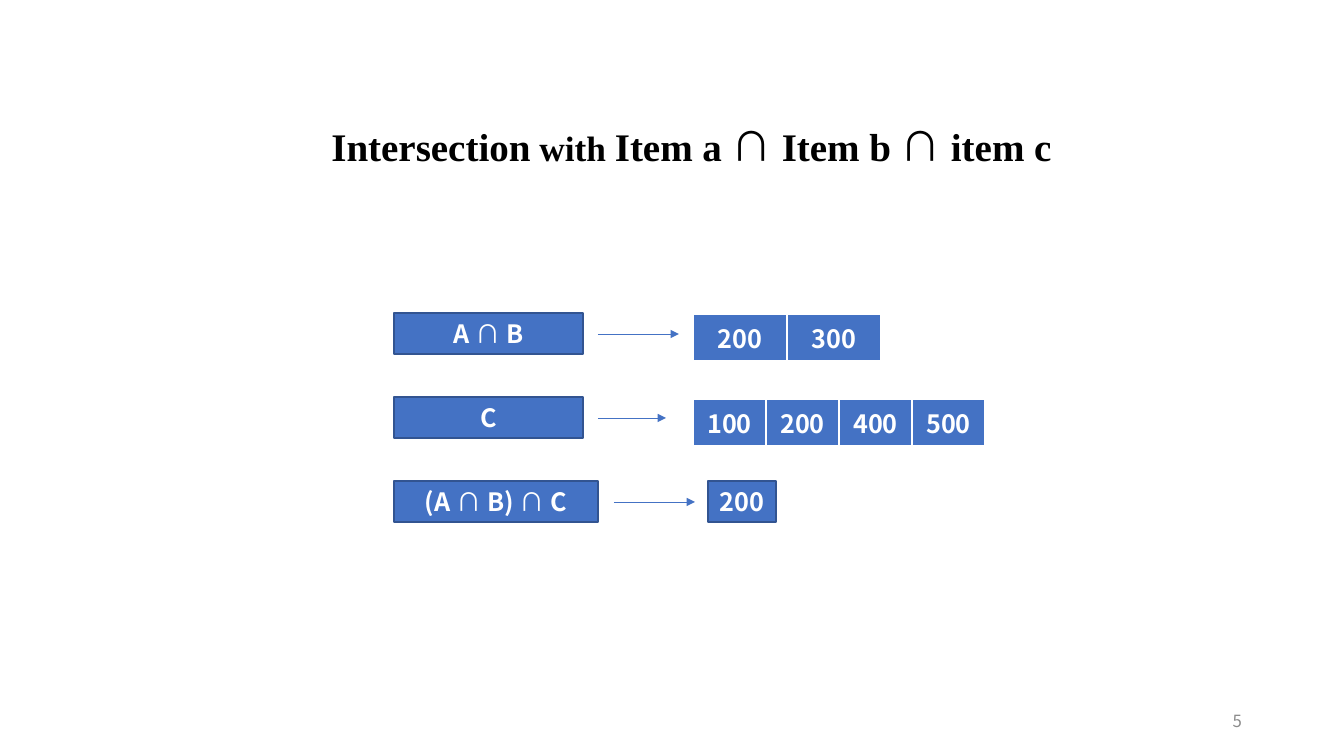
from lxml.etree import SubElement
from pptx import Presentation
from pptx.dml.color import RGBColor
from pptx.enum.shapes import MSO_CONNECTOR, MSO_SHAPE
from pptx.enum.text import MSO_ANCHOR, MSO_AUTO_SIZE, PP_ALIGN
from pptx.oxml.ns import qn
from pptx.util import Emu, Pt

SCALE = 914400 / 100.8
SANS, SERIF = "Noto Sans CJK KR", "Times New Roman"
COLORS = {"fill": "4472C4", "edge": "325491", "white": "FFFFFF",
          "black": "000000", "number": "8C8C8C"}


def px(*lengths):
    """Turn whole pixels into a list of EMU lengths."""
    return [Emu(round(length * SCALE)) for length in lengths]


def write(text_frame, runs, color, alignment=PP_ALIGN.CENTER):
    """Fill the first paragraph with (text, size, font, bold) runs."""
    text_frame.word_wrap = True
    text_frame.vertical_anchor = MSO_ANCHOR.MIDDLE
    paragraph = text_frame.paragraphs[0]
    paragraph.alignment = alignment
    for text, size, name, bold in runs:
        run = paragraph.add_run()
        run.text = text
        font_format = {"size": Pt(size), "name": name, "bold": bold}
        for attribute, value in font_format.items():
            setattr(run.font, attribute, value)
        run.font.color.rgb = RGBColor.from_string(COLORS[color])
        SubElement(run.font._element, qn("a:ea"), typeface=name)
    return paragraph


presentation = Presentation()
presentation.slide_width, presentation.slide_height = px(1344, 756)
slide = presentation.slides.add_slide(presentation.slide_layouts[5])

# Title
title = slide.shapes.title
title.left, title.top, title.width, title.height = px(295, 126, 793, 44)
title.text_frame.auto_size = MSO_AUTO_SIZE.NONE
title_runs = [
    ("Intersection", 27.9, SERIF, True),
    (" with ", 25.2, SERIF, True),
    ("Item a ", 27.9, SERIF, True),
    ("∩", 28.8, SANS, False),
    (" Item b ", 27.9, SERIF, True),
    ("∩", 28.8, SANS, False),
    (" item c", 27.9, SERIF, True),
]
write(title.text_frame, title_runs, "black").line_spacing = 0.9

# Set expressions and the single result
boxes = [
    (["A ", "∩", " B"], 394, 313, 189),
    (["C"], 394, 397, 189),
    (["(A ", "∩", " B) ", "∩", " C"], 394, 481, 204),
    (["200"], 708, 481, 68),
]
for parts, left, top, width in boxes:
    box = slide.shapes.add_shape(MSO_SHAPE.RECTANGLE, *px(left, top, width, 41))
    box.shadow.inherit = False
    box.fill.solid()
    box.fill.fore_color.rgb = RGBColor.from_string(COLORS["fill"])
    box.line.color.rgb = RGBColor.from_string(COLORS["edge"])
    box.line.width = Pt(1)
    write(box.text_frame, [(part, 18, SANS, part != "∩") for part in parts], "white")

# Arrows from each expression to its values
for start, end, height in [(598, 679, 334), (598, 666, 418), (614, 695, 502)]:
    arrow = slide.shapes.add_connector(
        MSO_CONNECTOR.STRAIGHT, *px(start, height, end, height))
    arrow.line.color.rgb = RGBColor.from_string(COLORS["fill"])
    arrow.line.width = Pt(0.5)
    SubElement(arrow.line._get_or_add_ln(), qn("a:tailEnd"), type="triangle")
    SubElement(arrow._element.spPr, qn("a:effectLst"))

# Value lists
for values, top, column_width in [(["200", "300"], 314, 94),
                                  (["100", "200", "400", "500"], 399, 73)]:
    table = slide.shapes.add_table(
        1, len(values), *px(693, top, column_width * len(values), 41)).table
    for cell, value in zip(table.iter_cells(), values):
        cell.fill.solid()
        cell.fill.fore_color.rgb = RGBColor.from_string(COLORS["fill"])
        write(cell.text_frame, [(value, 18, SANS, True)], "white")
        cell.vertical_anchor = MSO_ANCHOR.TOP

# Slide number
number = slide.shapes.add_textbox(*px(950, 701, 302, 40))
write(number.text_frame, [("5", 12, SANS, False)], "number", PP_ALIGN.RIGHT)

presentation.save("out.pptx")
